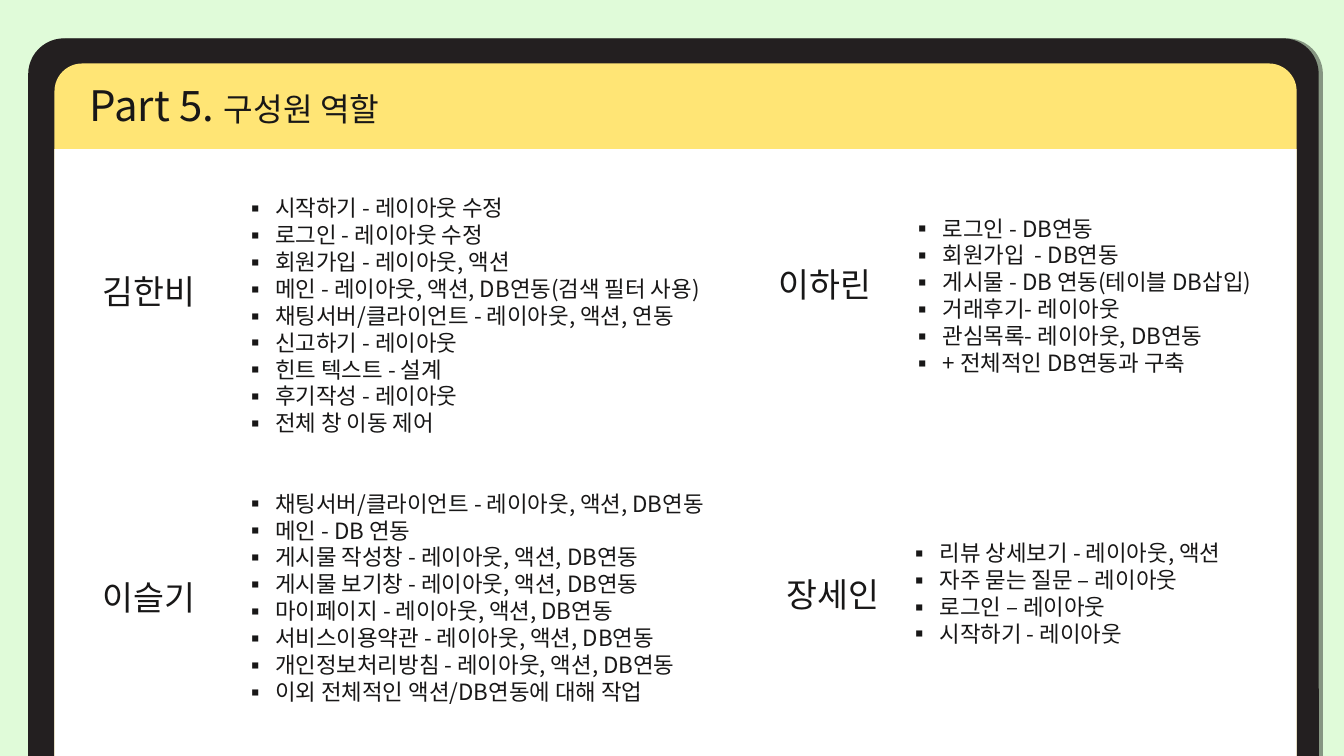
from dataclasses import dataclass

from lxml import etree
from pptx import Presentation
from pptx.dml.color import RGBColor
from pptx.enum.shapes import MSO_SHAPE
from pptx.enum.text import MSO_ANCHOR, MSO_AUTO_SIZE, PP_ALIGN
from pptx.oxml.ns import qn
from pptx.util import Inches, Pt

FONT = "Noto Sans CJK KR"
INK = "181717"
ROUND, RECT = MSO_SHAPE.ROUND_2_SAME_RECTANGLE, MSO_SHAPE.RECTANGLE
TOP, FIXED = MSO_ANCHOR.TOP, MSO_AUTO_SIZE.NONE
LEFT, CENTER = PP_ALIGN.LEFT, PP_ALIGN.CENTER
Box = tuple[float, float, float, float]


@dataclass
class Panel:
    """One layer of the window frame."""
    box: Box
    kind: int
    color: str
    bend: float = 0


@dataclass
class Member:
    """A team member with the tasks done."""
    name: str
    spot: tuple[float, float]
    box: Box
    tasks: list[str]


PANELS = [
    Panel((0.28, 0.38, 12.8, 7.12), ROUND, "231F20", 0.05),
    Panel((0.54, 0.63, 12.32, 6.87), ROUND, "FFE575", 0.04),
    Panel((0.54, 1.48, 12.32, 6.02), RECT, "FFFFFF"),
]
MEMBERS = [
    Member("김한비", (0.46, 2.64), (2.32, 1.88, 5.1, 2.52), [
        "시작하기 - 레이아웃 수정",
        "로그인 - 레이아웃 수정",
        "회원가입 - 레이아웃, 액션",
        "메인 - 레이아웃, 액션, DB연동(검색 필터 사용)",
        "채팅서버/클라이언트 - 레이아웃, 액션, 연동",
        "신고하기 - 레이아웃",
        "힌트 텍스트 - 설계",
        "후기작성 - 레이아웃",
        "전체 창 이동 제어",
    ]),
    Member("이하린", (7.16, 2.57), (8.94, 2.08, 3.83, 1.72), [
        "로그인 - DB연동",
        "회원가입  - DB연동",
        "게시물 - DB 연동(테이블 DB삽입)",
        "거래후기- 레이아웃",
        "관심목록- 레이아웃, DB연동",
        "+ 전체적인 DB연동과 구축",
    ]),
    Member("이슬기", (0.46, 5.67), (2.32, 4.81, 5.22, 2.26), [
        "채팅서버/클라이언트 - 레이아웃, 액션, DB연동",
        "메인 - DB 연동",
        "게시물 작성창 - 레이아웃, 액션, DB연동",
        "게시물 보기창 - 레이아웃, 액션, DB연동",
        "마이페이지 - 레이아웃, 액션, DB연동",
        "서비스이용약관 - 레이아웃, 액션, DB연동",
        "개인정보처리방침 - 레이아웃, 액션, DB연동",
        "이외 전체적인 액션/DB연동에 대해 작업",
    ]),
    Member("장세인", (7.24, 5.64), (8.91, 5.3, 3.67, 1.18), [
        "리뷰 상세보기 - 레이아웃, 액션",
        "자주 묻는 질문 – 레이아웃",
        "로그인 – 레이아웃",
        "시작하기 - 레이아웃",
    ]),
]


def paint(fill, color: str) -> None:
    """Make a fill solid in a hex colour."""
    fill.solid()
    fill.fore_color.rgb = RGBColor.from_string(color)


def place(shape, box: Box) -> None:
    """Move and size a shape in inches."""
    shape.left, shape.top, shape.width, shape.height = map(Inches, box)


def style(run, size: float) -> None:
    """Give a run its font, size and colour."""
    font = run.font
    font.name, font.size, font.bold = FONT, Pt(size), False
    paint(font.fill, INK)
    east = etree.Element(qn("a:ea"), typeface=FONT)
    run._r.rPr.find(qn("a:latin")).addnext(east)


def settle(shape, align: int, ratio: float = 1.2) -> None:
    """Fix the frame and the line pitch of a text shape."""
    frame = shape.text_frame
    frame.word_wrap, frame.auto_size = True, FIXED
    frame.vertical_anchor = TOP
    for para in frame.paragraphs:
        para.alignment = align
        para.space_before = para.space_after = Pt(0)
        size = max(run.font.size.pt for run in para.runs)
        para.line_spacing = Pt(round(size * ratio, 1))


def bullet(para) -> None:
    """Add a square bullet with a hanging indent."""
    props = para._p.get_or_add_pPr()
    props.set("marL", str(Inches(0.31)))
    props.set("indent", str(Inches(-0.31)))
    etree.SubElement(props, qn("a:buFont"), typeface=FONT)
    etree.SubElement(props, qn("a:buChar"), char="▪")


def shade(shape) -> None:
    """Cast a faint hard shadow to the right."""
    shape.shadow.inherit = False
    effects = shape._element.spPr.find(qn("a:effectLst"))
    outer = etree.SubElement(effects, qn("a:outerShdw"), blurRad="0",
                             dist=str(Pt(3)), dir="0", algn="l",
                             rotWithShape="0")
    tint = etree.SubElement(outer, qn("a:srgbClr"), val="000000")
    etree.SubElement(tint, qn("a:alpha"), val="40000")


def draw_panel(group, panel: Panel):
    """Draw one layer of the frame."""
    shape = group.shapes.add_shape(panel.kind, *map(Inches, panel.box))
    shape.shadow.inherit = False
    paint(shape.fill, panel.color)
    shape.line.fill.background()
    if panel.bend:
        shape.adjustments[0] = panel.bend
    return shape


def draw_title(shape) -> None:
    """Fill the title with its part number and topic."""
    place(shape, (0.79, 0.74, 6.28, 0.61))
    para = shape.text_frame.paragraphs[0]
    for text, size in (("Part 5. ", 30), ("구성원 역할", 23)):
        run = para.add_run()
        run.text = text
        style(run, size)
    settle(shape, LEFT)


def draw_member(slide, body, member: Member) -> None:
    """Draw a name and its task list."""
    label = slide.shapes.add_textbox(*map(Inches, (*member.spot, 2.04, 0.5)))
    label.text_frame.text = member.name
    style(label.text_frame.paragraphs[0].runs[0], 24)
    settle(label, CENTER)
    place(body, member.box)
    body.text_frame.text = "\n".join(member.tasks)
    for para in body.text_frame.paragraphs:
        bullet(para)
        style(para.runs[0], 16)
    settle(body, LEFT)


def main() -> None:
    """Build the slide and save it."""
    deck = Presentation()
    deck.slide_width, deck.slide_height = Inches(13.33), Inches(7.5)
    slide = deck.slides.add_slide(deck.slide_layouts[4])
    paint(slide.background.fill, "E0FBD9")
    title, *bodies = list(slide.placeholders)[:5]
    group = slide.shapes.add_group_shape()
    layers = [draw_panel(group, panel) for panel in PANELS]
    shade(layers[0])
    title._element.addprevious(group._element)
    draw_title(title)
    for body, member in zip(bodies, MEMBERS):
        draw_member(slide, body, member)
    deck.save("out.pptx")


if __name__ == "__main__":
    main()
